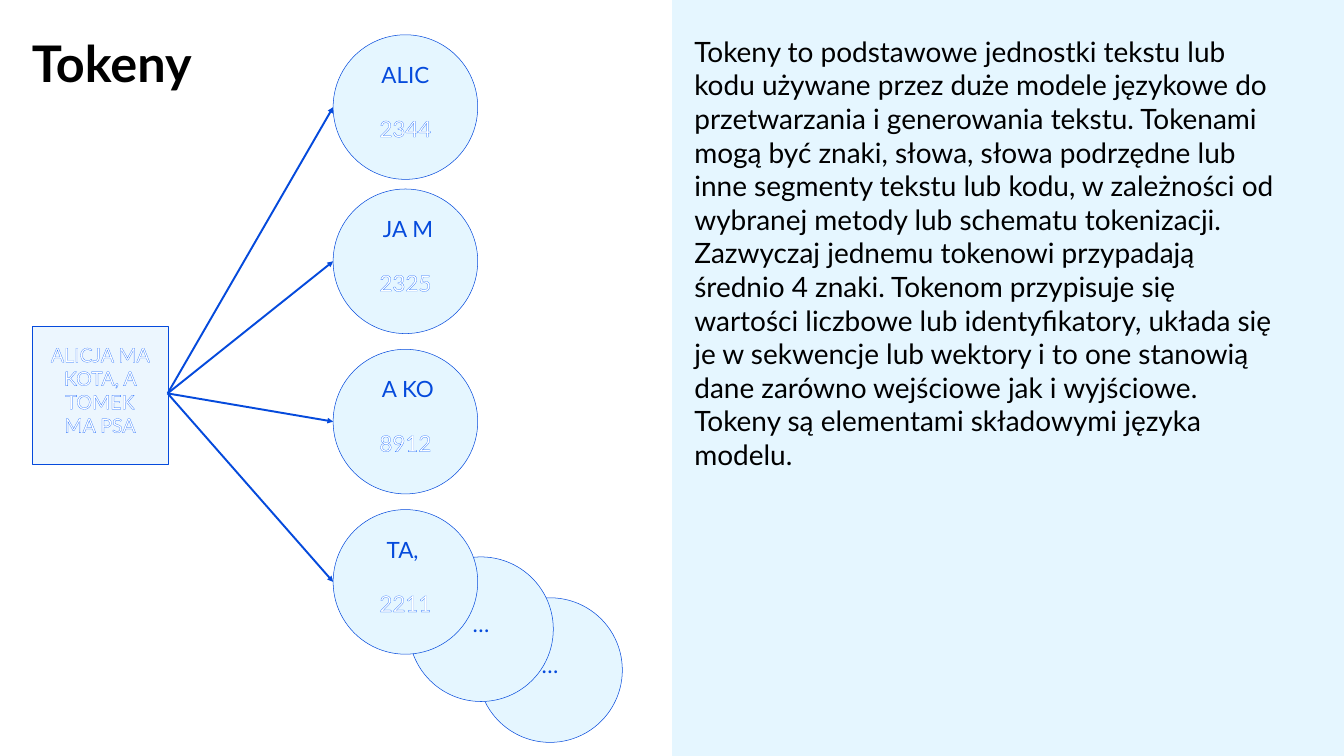
"""Builds the slide that explains how text is split into tokens."""
from dataclasses import dataclass

from lxml import etree
from pptx import Presentation
from pptx import util as u
from pptx.dml import color
from pptx.enum import shapes, text
from pptx.oxml import ns


@dataclass(frozen=True)
class Theme:
    font: str = "Lato"
    blue: str = "054ADC"
    outline: str = "0F62FE"
    pale: str = "E5F6FF"
    box: str = "ECF6FE"
    white: str = "FFFFFF"
    black: str = "000000"
    title: float = 72
    body: float = 40
    token: float = 32
    phrase: float = 28
    hairline: float = 0.75
    arrow: float = 2.75


T = Theme()
LINE = T.token * 1.2
SIDE = 206.6
TOKEN_X = 476
BOX = (45.4, 465.8, 195, 197.2)
TOKENS = [
    ("ALIC", "2344", 49.7),
    (" JA M", "2325", 270),
    (" A KO", "8912", 499),
    ("TA, ", "2211", 728),
]
MORE = [(682.6, 854), (584, 795.6)]
BODY = (
    "Tokeny to podstawowe jednostki tekstu lub kodu używane przez duże modele "
    "językowe do przetwarzania i generowania tekstu. Tokenami mogą być znaki, "
    "słowa, słowa podrzędne lub inne segmenty tekstu lub kodu, w zależności od "
    "wybranej metody lub schematu tokenizacji. Zazwyczaj jednemu tokenowi "
    "przypadają średnio 4 znaki. Tokenom przypisuje się wartości liczbowe lub "
    "identyfikatory, układa się je w sekwencje lub wektory i to one stanowią "
    "dane zarówno wejściowe jak i wyjściowe. Tokeny są elementami składowymi "
    "języka modelu."
)


def rgb(value):
    return color.RGBColor.from_string(value)


def write(p, content, size, fill=T.black, bold=False, outline=None, align=None, before=None):
    r = p.add_run()
    r.text = content
    r.font.name, r.font.size, r.font.bold = T.font, u.Pt(size), bold
    r.font.color.rgb = rgb(fill)
    if outline:
        ln = etree.Element(ns.qn("a:ln"), w=str(u.Pt(T.hairline)))
        solid = etree.SubElement(ln, ns.qn("a:solidFill"))
        etree.SubElement(solid, ns.qn("a:srgbClr"), val=outline)
        r.font._element.insert(0, ln)
    if align is not None:
        p.alignment = align
    if before is not None:
        p.space_before = u.Pt(before)


class Deck:
    def __init__(self, width, height):
        self.prs = Presentation()
        self.prs.slide_width, self.prs.slide_height = u.Pt(width), u.Pt(height)
        self.s = self.prs.slides.add_slide(self.prs.slide_layouts[6])

    def frame(self, sp, left, top):
        tf = sp.text_frame
        tf.word_wrap = True
        tf.vertical_anchor = text.MSO_ANCHOR.TOP
        tf.margin_left = tf.margin_right = u.Pt(left)
        tf.margin_top = tf.margin_bottom = u.Pt(top)
        return tf

    def shape(self, kind, at, fill, line=T.blue, weight=T.hairline):
        sp = self.s.shapes.add_shape(kind, *map(u.Pt, at))
        sp.shadow.inherit = False
        sp.fill.solid()
        sp.fill.fore_color.rgb = rgb(fill)
        sp.line.color.rgb = rgb(line)
        sp.line.width = u.Pt(weight)
        return sp

    def label(self, at, content, inset=(0, 0), **style):
        sp = self.s.shapes.add_textbox(*map(u.Pt, at))
        write(self.frame(sp, *inset).paragraphs[0], content, **style)

    def phrase(self, at, content):
        sp = self.shape(shapes.MSO_SHAPE.PARALLELOGRAM, at, T.box)
        sp.adjustments[0] = 0
        write(self.frame(sp, 7.2, 7.2).paragraphs[0], content, T.phrase, T.white,
              outline=T.outline, align=text.PP_ALIGN.CENTER)

    def circle(self, x, y):
        sp = self.shape(shapes.MSO_SHAPE.OVAL, (x, y, SIDE, SIDE), T.pale)
        return self.frame(sp, 7.2, 7.2)

    def token(self, x, y, word, number):
        tf = self.circle(x, y)
        style = dict(size=T.token, outline=T.outline, align=text.PP_ALIGN.CENTER)
        write(tf.paragraphs[0], word, fill=T.blue, **style)
        write(tf.add_paragraph(), number, fill=T.white, before=LINE, **style)

    def ellipsis(self, x, y):
        tf = self.circle(x, y)
        tf.margin_top = u.Pt(7.2 + LINE)
        write(tf.paragraphs[0], "…", T.token, T.blue, align=text.PP_ALIGN.CENTER)

    def arrow(self, *ends):
        c = self.s.shapes.add_connector(shapes.MSO_CONNECTOR.STRAIGHT, *map(u.Pt, ends))
        c.line.color.rgb = rgb(T.blue)
        c.line.width = u.Pt(T.arrow)
        etree.SubElement(c.line._get_or_add_ln(), ns.qn("a:tailEnd"), type="triangle")
        etree.SubElement(c._element.spPr, ns.qn("a:effectLst"))


def main():
    d = Deck(1920.24, 1080)
    d.shape(shapes.MSO_SHAPE.RECTANGLE, (960.24, 0, 960, 1080), T.pale, T.pale, 1.5)
    d.label((45.4, 45.4, 756, 225.4), "Tokeny", size=T.title, bold=True)
    d.label((985, 45.4, 856.8, 637.2), BODY, inset=(7.2, 3.6), size=T.body)
    d.phrase(BOX, "ALICJA MA KOTA, A TOMEK MA PSA")
    for x, y in MORE:
        d.ellipsis(x, y)
    for word, number, y in TOKENS:
        d.arrow(239.5, 562, TOKEN_X, y + SIDE / 2)
        d.token(TOKEN_X, y, word, number)
    d.prs.save("out.pptx")


if __name__ == "__main__":
    main()
